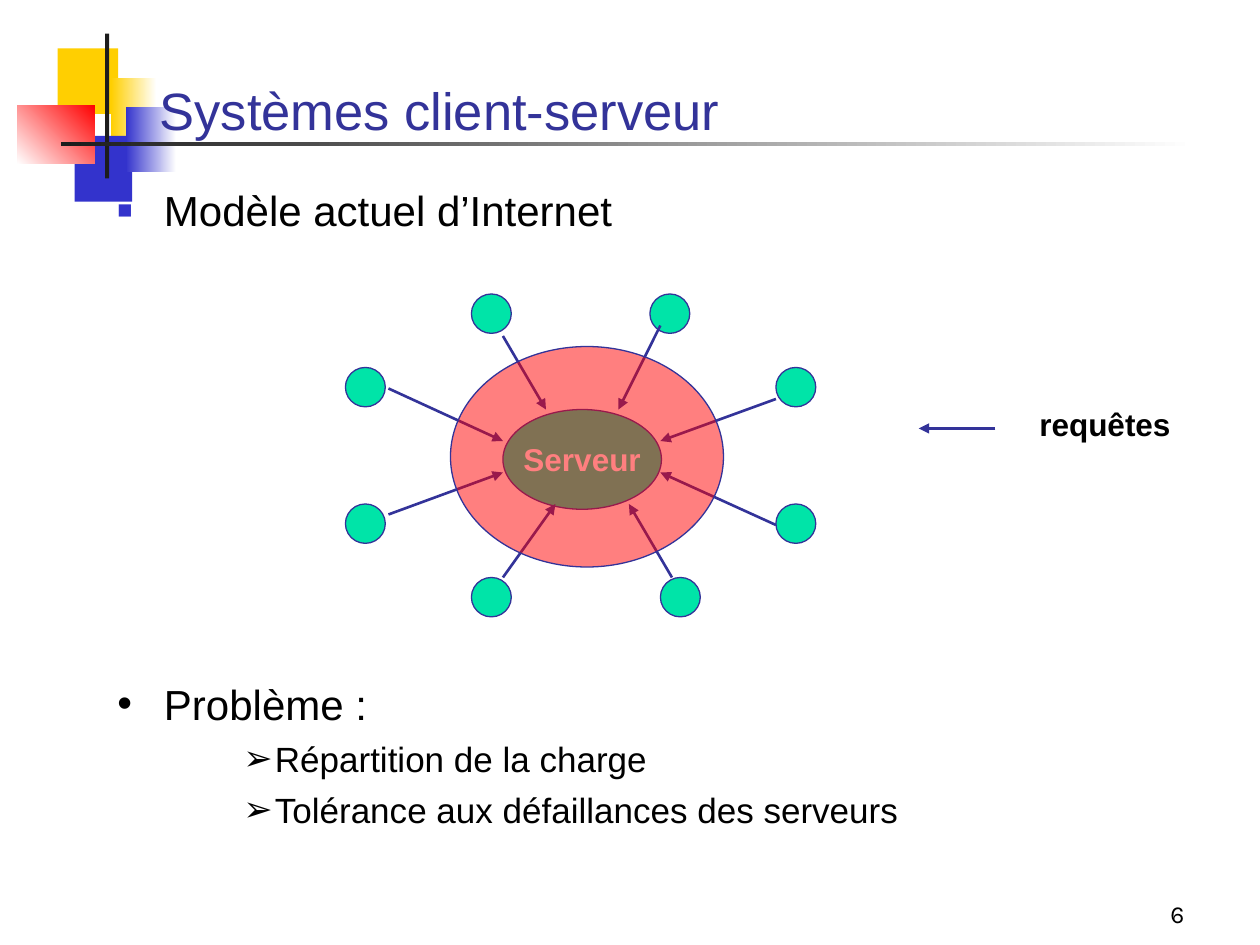
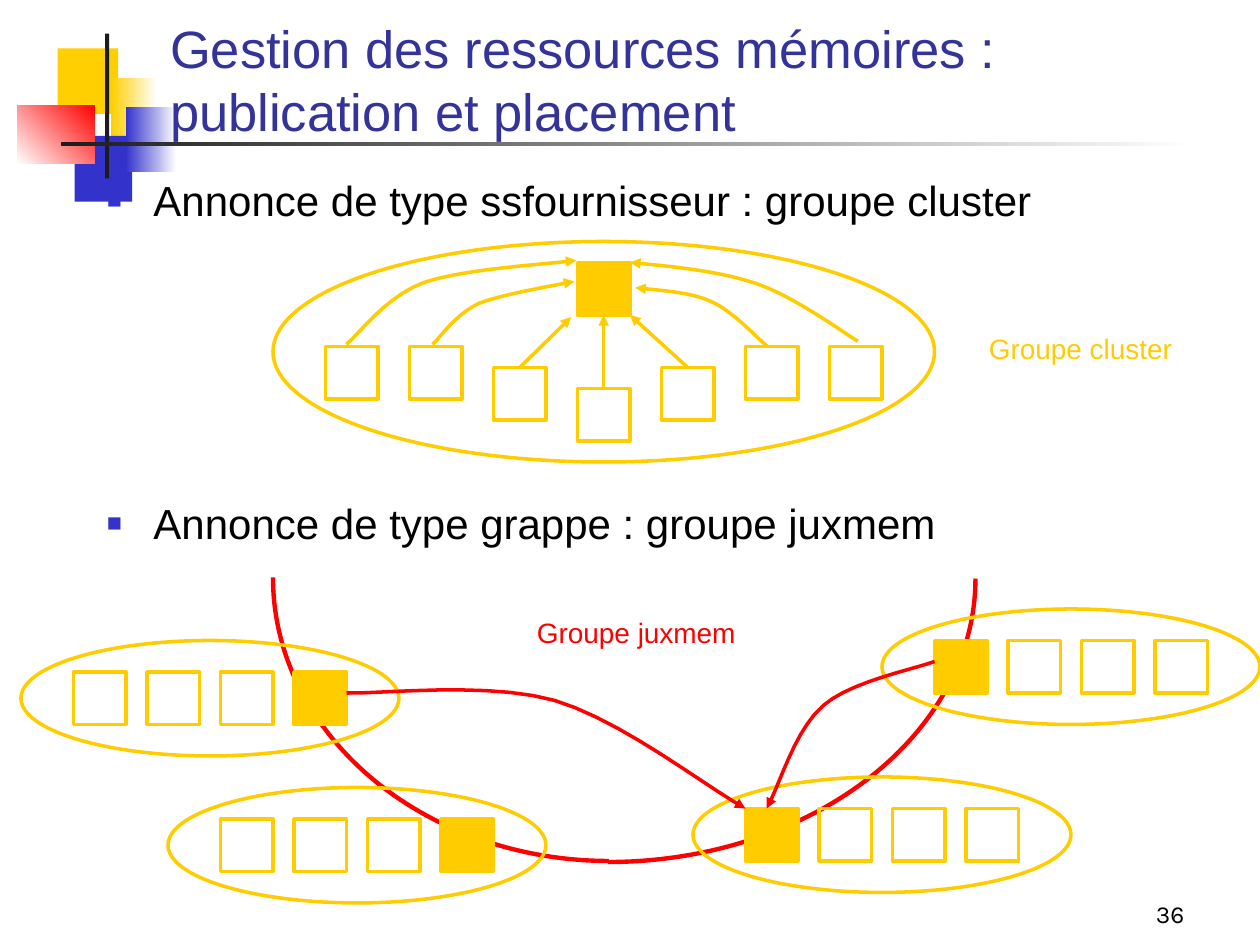
from typing import NamedTuple, Optional

from lxml.etree import SubElement
from pptx import Presentation
from pptx.dml.color import RGBColor
from pptx.enum.shapes import MSO_CONNECTOR, MSO_SHAPE
from pptx.enum.text import MSO_ANCHOR, MSO_AUTO_SIZE, PP_ALIGN
from pptx.oxml.ns import qn
from pptx.util import Inches, Pt

SLIDE_WIDTH, SLIDE_HEIGHT = Inches(10), Inches(7.5)
CELL = SLIDE_WIDTH // 120
FONT, NUMBER_FONT = "Arial", "Karla"
BLACK, WHITE, RED = "000000", "FFFFFF", "FF0000"
DARK, YELLOW, BLUE = "1C1C1C", "FFCF01", "3333CC"
NAVY, GREEN, GOLD = "333399", "00E4A8", "FFCC00"
SQUARE = 5
CURVE_STEPS = 10


class Box(NamedTuple):
    """A rectangle in grid cells."""
    column: float
    row: float
    columns: float
    rows: float


class Point(NamedTuple):
    """A position in grid cells."""
    column: float
    row: float


class Gradient(NamedTuple):
    """A two-colour gradient, with its angle clockwise."""
    start: str
    end: str
    angle: float


class Band(NamedTuple):
    """A piece of the slide decoration."""
    box: Box
    fill: str | Gradient


class Style(NamedTuple):
    """The look of a paragraph."""
    size: float
    color: str = BLACK
    bold: bool = False
    align: PP_ALIGN = PP_ALIGN.LEFT
    font: str = FONT


class Bullet(NamedTuple):
    """A bullet sign with its indents in inches."""
    sign: str
    color: str = BLACK
    percent: int = 100
    margin: float = 0.37
    hanging: float = 0.37


class Line(NamedTuple):
    """A line of text with its look."""
    text: str
    style: Style
    bullet: Optional[Bullet] = None
    space: float = 0


class Grappe(NamedTuple):
    """A small group, with the place of its manager among four squares."""
    column: float
    row: float
    manager: int


BANDS = [
    Band(Box(5.5, 4.6, 5.75, 6.25), YELLOW),
    Band(Box(10.6, 7.4, 4.3, 6.2), Gradient(WHITE, YELLOW, 180)),
    Band(Box(7.1, 12.95, 5.5, 6.25), BLUE),
    Band(Box(12, 10.2, 4.8, 6.2), Gradient(WHITE, BLUE, 180)),
    Band(Box(1.65, 10, 7.4, 5.6), Gradient(RED, WHITE, 135)),
    Band(Box(10, 3.2, 0.4, 13.8), DARK),
    Band(Box(5.8, 13.5, 108, 0.45), Gradient(WHITE, DARK, 180)),
]
NUMBER_BOX = Box(89, 83, 25, 6)
TITLE = Style(30, NAVY)
HEADING, DETAIL = Style(24), Style(20)
SQUARE_BULLET = Bullet("■", BLUE, 60)
ROUND_BULLET = Bullet("•")
ARROW_BULLET = Bullet("➢", margin=1.25, hanging=0.25)

CLIENTS = [Point(44.9, 28), Point(61.9, 28), Point(32.9, 35), Point(73.9, 35),
           Point(32.9, 48), Point(73.9, 48), Point(44.9, 55), Point(62.9, 55)]
REQUESTS = [
    (Point(47.9, 32), Point(52, 39)), (Point(62.9, 31), Point(58.9, 39)),
    (Point(37, 37), Point(47.9, 42)), (Point(73.9, 38), Point(62.9, 42)),
    (Point(37, 49), Point(47.9, 45)), (Point(73.9, 50), Point(62.9, 45)),
    (Point(47.9, 55), Point(52.9, 48)), (Point(64, 55), Point(59.9, 48)),
    (Point(94.8, 40.8), Point(87.5, 40.8)),
]
PROVIDER_ROWS = [33, 33, 35, 37, 35, 33, 33]
CLUSTER_CURVES = [
    [(33, 32.8), (34.2, 31.8), (36.8, 28.2), (40.4, 26.9), (44.2, 25.6), (51.8, 25.2), (54.9, 24.8)],
    [(41.2, 32.8), (41.9, 32.2), (43.3, 30), (45.6, 28.9), (47.9, 28), (52.8, 27.2), (54.7, 26.8)],
    [(73.1, 33), (72.2, 32.3), (69.8, 29.6), (67.7, 28.7), (65.6, 27.7), (61.9, 27.6), (60.5, 27.4)],
    [(81.7, 32.5), (80.2, 31.6), (75.6, 28.2), (72, 27), (68.4, 25.8), (64.2, 25.4), (60, 25)],
]
JUXMEM_CURVES = [
    [(33, 66), (36.2, 66.1), (46.4, 64.9), (52.8, 66.7), (59.2, 68.6), (67.2, 74.9), (71, 77)],
    [(89, 63), (87.2, 63.7), (81, 64.9), (78.4, 67.2), (75.6, 69.6), (74.2, 75), (73, 77)],
]
GRAPPES = [Grappe(2, 61, 3), Grappe(16, 75, 3), Grappe(66, 74, 0), Grappe(84, 58, 0)]


def cells(*lengths: float) -> list[int]:
    """Turn grid cells into slide units."""
    return [round(length * CELL) for length in lengths]


def color(value: str) -> RGBColor:
    """Turn a hex string into a colour."""
    return RGBColor.from_string(value)


def paint(shape, fill: str | Gradient | None, line: str | None = None, width: float = 0.75) -> None:
    """Set the fill and line of a shape and drop its shadow."""
    shape.shadow.inherit = False
    if isinstance(fill, Gradient):
        shape.fill.gradient()
        shape.fill.gradient_angle = 360 - fill.angle
        for stop, shade in zip(shape.fill.gradient_stops, (fill.start, fill.end)):
            stop.color.rgb = color(shade)
    elif fill:
        shape.fill.solid()
        shape.fill.fore_color.rgb = color(fill)
    else:
        shape.fill.background()
    if line:
        shape.line.color.rgb = color(line)
        shape.line.width = Pt(width)
    else:
        shape.line.fill.background()


def add_figure(slide, kind: MSO_SHAPE, box: Box, fill: str | Gradient | None,
               line: str | None = None, width: float = 0.75):
    """Draw a preset shape on the grid."""
    shape = slide.shapes.add_shape(kind, *cells(*box))
    paint(shape, fill, line, width)
    return shape


def add_arrowhead(shape) -> None:
    """Put a triangle at the end of a line."""
    SubElement(shape.line._get_or_add_ln(), qn("a:tailEnd"), type="triangle")


def add_arrow(slide, start: Point, end: Point, shade: str, width: float):
    """Draw a straight arrow."""
    arrow = slide.shapes.add_connector(MSO_CONNECTOR.STRAIGHT, *cells(*start, *end))
    arrow.line.color.rgb = color(shade)
    arrow.line.width = Pt(width)
    add_arrowhead(arrow)
    SubElement(arrow.element.spPr, qn("a:effectLst"))
    return arrow


def add_curve(slide, knots: list[tuple[float, float]], shade: str) -> None:
    """Draw an arrow along joined cubic curves."""
    points = []
    for first in range(0, len(knots) - 1, 3):
        for step in range(1, CURVE_STEPS + 1):
            share = step / CURVE_STEPS
            rest = 1 - share
            weights = (rest ** 3, 3 * rest ** 2 * share, 3 * rest * share ** 2, share ** 3)
            controls = zip(*knots[first:first + 4])
            points.append(cells(*(sum(w * c for w, c in zip(weights, axis)) for axis in controls)))
    builder = slide.shapes.build_freeform(*cells(*knots[0]))
    builder.add_line_segments(points, close=False)
    curve = builder.convert_to_shape()
    paint(curve, None, shade, 2)
    add_arrowhead(curve)


def add_bullet(paragraph, bullet: Bullet) -> None:
    """Give a paragraph a bullet and a hanging indent."""
    properties = paragraph._p.get_or_add_pPr()
    properties.set("marL", str(Inches(bullet.margin)))
    properties.set("indent", str(-Inches(bullet.hanging)))
    SubElement(SubElement(properties, qn("a:buClr")), qn("a:srgbClr"), val=bullet.color)
    SubElement(properties, qn("a:buSzPct"), val=str(bullet.percent * 1000))
    SubElement(properties, qn("a:buFont"), typeface=FONT)
    SubElement(properties, qn("a:buChar"), char=bullet.sign)


def write(shape, lines: list[Line], anchor: MSO_ANCHOR = MSO_ANCHOR.TOP, wrap: bool = True) -> None:
    """Fill a shape with formatted lines."""
    frame = shape.text_frame
    frame.word_wrap = wrap
    frame.auto_size = MSO_AUTO_SIZE.NONE
    frame.vertical_anchor = anchor
    for index, line in enumerate(lines):
        paragraph = frame.add_paragraph() if index else frame.paragraphs[0]
        paragraph.text = line.text
        if line.bullet:
            add_bullet(paragraph, line.bullet)
        paragraph.alignment = line.style.align
        paragraph.space_before = Pt(line.space)
        paragraph.font.name = line.style.font
        paragraph.font.size = Pt(line.style.size)
        paragraph.font.bold = line.style.bold
        paragraph.font.color.rgb = color(line.style.color)


def add_text(slide, box: Box, lines: list[Line], anchor: MSO_ANCHOR = MSO_ANCHOR.TOP,
             wrap: bool = True) -> None:
    """Add a text box on the grid."""
    write(slide.shapes.add_textbox(*cells(*box)), lines, anchor, wrap)


def add_label(slide, box: Box, text: str, shade: str) -> None:
    """Add a centred one-line label."""
    add_text(slide, box, [Line(text, Style(16, shade, align=PP_ALIGN.CENTER))], wrap=False)


def add_square(slide, column: float, row: float, filled: bool = False):
    """Draw one node of a group."""
    box = Box(column, row, SQUARE, SQUARE)
    return add_figure(slide, MSO_SHAPE.RECTANGLE, box, GOLD if filled else None, GOLD, 2)


def start_slide(presentation, title: str, box: Box, anchor: MSO_ANCHOR, number: int):
    """Add a slide with its decoration, title and number."""
    slide = presentation.slides.add_slide(presentation.slide_layouts[5])
    for band in BANDS:
        add_figure(slide, MSO_SHAPE.RECTANGLE, band.box, band.fill)
    heading = slide.shapes.title
    heading.left, heading.top, heading.width, heading.height = cells(*box)
    write(heading, [Line(title, TITLE)], anchor)
    slide.shapes.element.append(heading.element)
    style = Style(14, align=PP_ALIGN.RIGHT, font=NUMBER_FONT)
    add_text(slide, NUMBER_BOX, [Line(str(number), style)], MSO_ANCHOR.BOTTOM)
    return slide


def build_client_server(presentation) -> None:
    """Build the slide on client-server systems."""
    slide = start_slide(presentation, "Systèmes client-serveur", Box(14, 6, 93, 8), MSO_ANCHOR.BOTTOM, 6)
    add_text(slide, Box(10, 17, 102, 6), [Line("Modèle actuel d’Internet", HEADING, SQUARE_BULLET)])
    server = add_figure(slide, MSO_SHAPE.OVAL, Box(47.9, 39, 15.1, 9.5), GREEN, NAVY)
    write(server, [Line("Serveur", Style(18, WHITE, True, PP_ALIGN.CENTER))], MSO_ANCHOR.MIDDLE, False)
    for client in CLIENTS:
        add_figure(slide, MSO_SHAPE.OVAL, Box(*client, 3.8, 3.75), GREEN, NAVY)
    for start, end in REQUESTS:
        add_arrow(slide, start, end, NAVY, 1.5)
    halo = add_figure(slide, MSO_SHAPE.OVAL, Box(42.9, 33, 26, 21), RED, NAVY)
    SubElement(halo.element.spPr.find(qn("a:solidFill"))[0], qn("a:alpha"), val="50000")
    add_text(slide, Box(97.8, 38, 16.2, 4.8), [Line("requêtes", Style(18, bold=True))])
    add_text(slide, Box(10, 64, 102, 20), [
        Line("Problème :", HEADING, ROUND_BULLET),
        Line("Répartition de la charge", DETAIL, ARROW_BULLET, 5),
        Line("Tolérance aux défaillances des serveurs", DETAIL, ARROW_BULLET, 5),
    ])


def build_memory_resources(presentation) -> None:
    """Build the slide on publishing and placing memory resources."""
    slide = start_slide(presentation, "Gestion des ressources mémoires :\vpublication et placement",
                        Box(15, 0.9, 99, 13.2), MSO_ANCHOR.MIDDLE, 36)
    for row, text in ((16, "Annonce de type ssfournisseur : groupe cluster"),
                      (46.8, "Annonce de type grappe : groupe juxmem")):
        add_text(slide, Box(9, row, 102, 6), [Line(text, HEADING, SQUARE_BULLET)])

    add_figure(slide, MSO_SHAPE.OVAL, Box(26, 23, 63, 21), None, GOLD, 2)
    providers = [add_square(slide, 31 + 8 * index, row) for index, row in enumerate(PROVIDER_ROWS)]
    manager = add_square(slide, 55, 25, True)
    for index, end in ((2, Point(54.4, 30.2)), (3, Point(57.5, 30)), (4, Point(60, 30))):
        arrow = add_arrow(slide, end, end, GOLD, 2)
        arrow.begin_connect(providers[index], 0)
        if index == 3:
            arrow.end_connect(manager, 2)
    for knots in CLUSTER_CURVES:
        add_curve(slide, knots, GOLD)
    add_label(slide, Box(93, 31, 19.8, 4.4), "Groupe cluster", GOLD)

    for box, start, end in ((Box(26, 28, 64, 54), 54, 108), (Box(22.9, 28.1, 70, 54), 0, 54)):
        arc = add_figure(slide, MSO_SHAPE.ARC, box, None, RED, 2.5)
        arc.adjustments[0], arc.adjustments[1] = start, end
    for grappe in GRAPPES:
        for index in range(4):
            add_square(slide, grappe.column + 5 + 7 * index, grappe.row + 3, index == grappe.manager)
        add_figure(slide, MSO_SHAPE.OVAL, Box(grappe.column, grappe.row, 36, 11), None, GOLD, 2)
    for knots in JUXMEM_CURVES:
        add_curve(slide, knots, RED)
    add_label(slide, Box(50, 58, 21.2, 4.4), "Groupe juxmem", RED)


def main() -> None:
    """Build and save the presentation."""
    presentation = Presentation()
    presentation.slide_width, presentation.slide_height = SLIDE_WIDTH, SLIDE_HEIGHT
    build_client_server(presentation)
    build_memory_resources(presentation)
    presentation.save("out.pptx")


if __name__ == "__main__":
    main()
